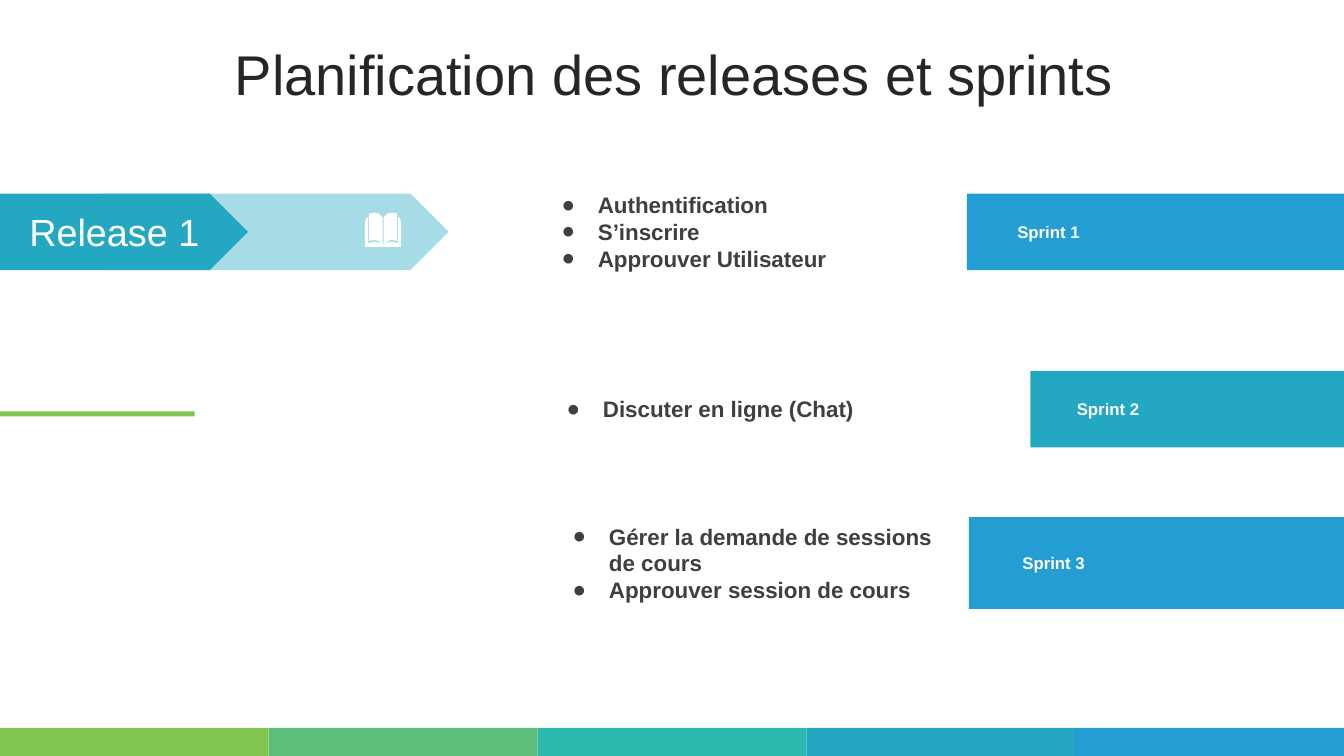
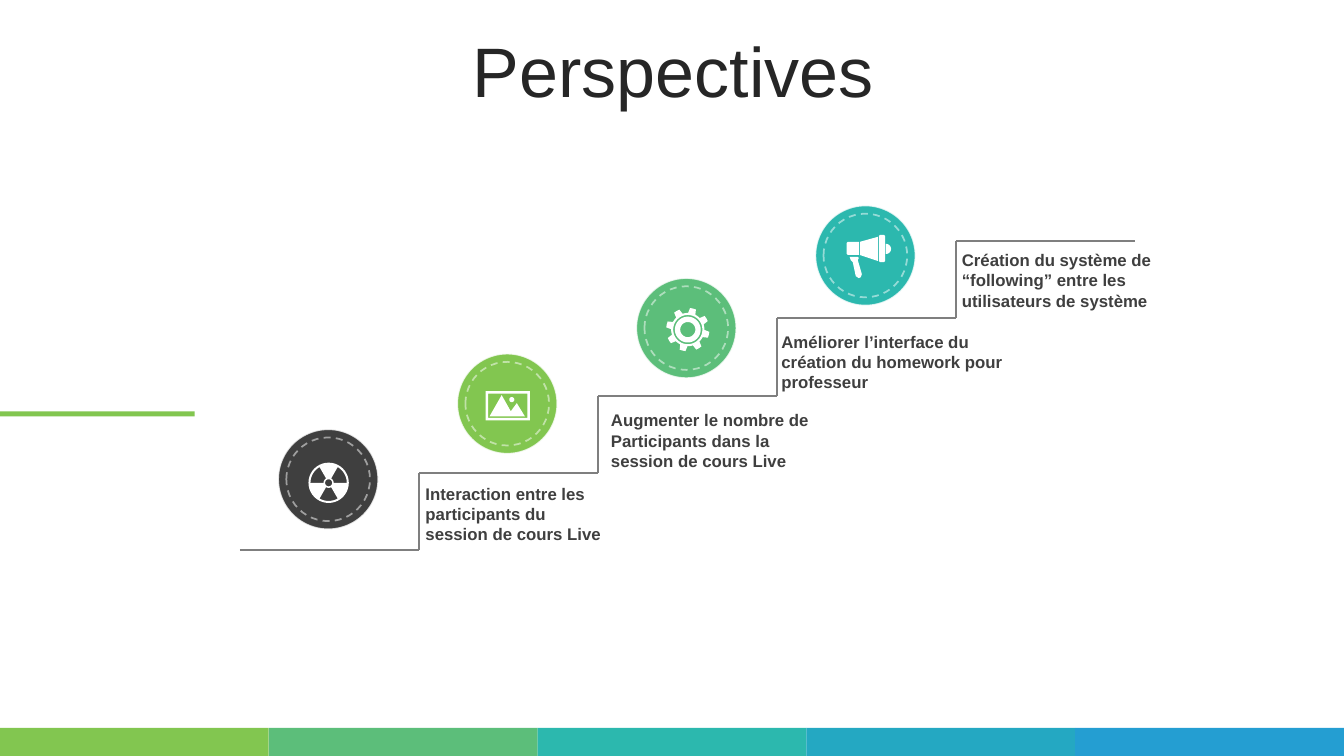
"""Build the release planning and perspectives slides."""
from math import cos, pi, sin

from lxml import etree
from pptx import Presentation
from pptx.dml.color import RGBColor
from pptx.enum.dml import MSO_LINE
from pptx.enum.shapes import MSO_CONNECTOR, MSO_SHAPE
from pptx.enum.text import MSO_ANCHOR, MSO_AUTO_SIZE, PP_ALIGN
from pptx.oxml.ns import qn
from pptx.util import Inches, Pt

RECT, OVAL, ARROW = MSO_SHAPE.RECTANGLE, MSO_SHAPE.OVAL, MSO_SHAPE.PENTAGON
STRAIGHT, DASH = MSO_CONNECTOR.STRAIGHT, MSO_LINE.DASH
MIDDLE, TOP = MSO_ANCHOR.MIDDLE, MSO_ANCHOR.TOP
LEFT, CENTER = PP_ALIGN.LEFT, PP_ALIGN.CENTER
NO_FIT = MSO_AUTO_SIZE.NONE

FONT = "Arial"
COLORS = {
    "lime": "82C650", "green": "5CBE7A", "teal": "2CB8AE", "cyan": "24A8C2",
    "blue": "249ED2", "white": "FFFFFF", "title": "262626", "text": "3F3F3F",
    "stairs": "7F7F7F",
}
BAND = ["lime", "green", "teal", "cyan", "blue"]
WIDTH, HEIGHT = 13.33, 7.5
COMPARISON_LAYOUT, TITLE_LAYOUT = 4, 5
FILL_PATH = "./a:solidFill/a:srgbClr"
LINE_PATH = "./a:ln/a:solidFill/a:srgbClr"

SPRINTS = [
    ((4.55, 1.84, 4.95, 0.91),
     ["Authentification", "S’inscrire", "Approuver Utilisateur"],
     "Sprint 1", (9.59, 1.92, 3.74, 0.76), "blue", 0.5),
    ((4.6, 3.87, 4.95, 0.37), ["Discuter en ligne (Chat)"],
     "Sprint 2", (10.22, 3.68, 3.11, 0.76), "cyan", 0.46),
    ((4.66, 5.13, 4.95, 0.91),
     ["Gérer la demande de sessions de cours", "Approuver session de cours"],
     "Sprint 3", (9.61, 5.13, 3.72, 0.91), "blue", 0.53),
]


def rgb(name):
    """Return the named colour."""
    return RGBColor.from_string(COLORS[name])


def place(shape, box):
    """Move a shape to a box given in inches."""
    shape.left, shape.top, shape.width, shape.height = map(Inches, box)


def fade(shape, path, percent):
    """Set the opacity of the colour found at a path in the shape."""
    color = shape.element.spPr.xpath(path)[0]
    etree.SubElement(color, qn("a:alpha")).set("val", str(percent * 1000))


def paint(shape, fill):
    """Give a shape a flat fill with no line or shadow."""
    shape.shadow.inherit = False
    shape.fill.solid()
    shape.fill.fore_color.rgb = rgb(fill)
    shape.line.fill.background()
    return shape


def add_block(slide, kind, box, fill):
    """Add a flat preset shape."""
    return paint(slide.shapes.add_shape(kind, *map(Inches, box)), fill)


def add_bullet(paragraph):
    """Give a paragraph a hanging round bullet."""
    props = paragraph._p.get_or_add_pPr()
    props.set("marL", str(Inches(1.28)))
    props.set("indent", str(Inches(-0.36)))
    bullet_color = etree.SubElement(props, qn("a:buClr"))
    etree.SubElement(bullet_color, qn("a:srgbClr")).set("val", COLORS["text"])
    etree.SubElement(props, qn("a:buFont")).set("typeface", FONT)
    etree.SubElement(props, qn("a:buChar")).set("char", "●")


def write(shape, lines, size, color, bold=False, align=LEFT, anchor=MIDDLE,
          side=0.1, spacing=1.0, bulleted=False):
    """Fill a shape with evenly styled paragraphs."""
    frame = shape.text_frame
    frame.word_wrap = True
    frame.auto_size = NO_FIT
    frame.vertical_anchor = anchor
    frame.margin_left = Inches(side)
    frame.margin_right = Inches(min(side, 0.1))
    frame.text = "\n".join(lines)
    for paragraph in frame.paragraphs:
        paragraph.alignment = align
        paragraph.line_spacing = spacing
        paragraph.space_before = Pt(0)
        if bulleted:
            add_bullet(paragraph)
        font = paragraph.font
        font.name, font.size, font.bold = FONT, Pt(size), bold
        font.color.rgb = rgb(color)


def add_title(slide, title, size, spacing):
    """Place and style the slide title."""
    heading = slide.shapes.title
    place(heading, (0.35, 0.37, 12.66, 0.79))
    write(heading, [title], size, "title", align=CENTER, spacing=spacing)


def decorate_master(prs, slide):
    """Put the colour band and the side rule on the master."""
    step = WIDTH / len(BAND)
    parts = [((i * step, 7.22, step, 0.28), color)
             for i, color in enumerate(BAND)]
    parts.append(((0, 4.08, 1.93, 0.05), "lime"))
    for number, (box, color) in enumerate(parts, start=20):
        block = add_block(slide, RECT, box, color)
        block.element.xpath("./p:nvSpPr/p:cNvPr")[0].set("id", str(number))
        prs.slide_master.shapes.element.append(block.element)


def add_icon(slide, left, top, contours):
    """Draw white contours, in hundredths of an inch from a corner."""
    outlines = [[(Inches(left + x / 100), Inches(top + y / 100))
                 for x, y in contour] for contour in contours]
    builder = slide.shapes.build_freeform(*outlines[0][0], scale=1.0)
    builder.add_line_segments(outlines[0][1:], close=True)
    for outline in outlines[1:]:
        builder.move_to(*outline[0])
        builder.add_line_segments(outline[1:], close=True)
    paint(builder.convert_to_shape(), "white")


def arc(cx, cy, radius, start=0, end=360, steps=40):
    """Return points along an arc, with angles in degrees."""
    angles = [(start + (end - start) * i / steps) * pi / 180
              for i in range(steps + 1)]
    return [(cx + radius * cos(a), cy + radius * sin(a)) for a in angles]


def book():
    """Return the open book contours."""
    page = [(0.5, 31), (7, 29), (15, 30), (15, 6), (14, 6), (14, 28), (7, 27),
            (0.5, 31), (0.5, 5), (4, 1), (9, 0), (14, 1), (14, 5), (17, 5),
            (17, 8), (18, 8), (18, 34), (0, 34), (0, 31)]
    return [[(18 + side * x, y) for x, y in page] for side in (-1, 1)]


def trefoil():
    """Return the radiation sign contours."""
    blades = [arc(20, 20, 18, start, start + 60, 12)
              + arc(20, 20, 5, start + 60, start, 6)
              for start in (60, 180, 300)]
    return [arc(20, 20, 20), arc(20, 20, 3.5), *blades]


def landscape():
    """Return the framed mountains contours."""
    frames = [[(d, d), (44 - d, d), (44 - d, 29 - d), (d, 29 - d)]
              for d in (0, 2.5)]
    mountains = [(4, 25), (16, 4), (25, 20), (31, 12), (39, 25)]
    return [*frames, mountains, arc(26, 8.5, 2.5)]


def gear():
    """Return the toothed wheel contours."""
    teeth = []
    for tooth in range(8):
        middle = tooth * 45 + 14
        teeth += arc(21, 21, 21.5, middle - 8, middle + 8, 2)
        teeth += arc(21, 21, 16.5, middle + 13, middle + 32, 4)
    return [teeth, *(arc(21, 21, radius) for radius in (14.5, 12.8, 7.5))]


def megaphone():
    """Return the megaphone contours."""
    handle = [(3, 22), (11, 22), (12, 23), (11, 25), (15, 39), (14, 42),
              (12, 43), (9, 41), (6, 27), (4, 25)]
    grip = [(1, 7), (12, 7), (12, 20), (1, 20), (0, 19), (0, 8)]
    horn = [(31, 2), (31, 26), (13, 20), (13, 7)]
    rim = [(33, 0), (37, 0), (38, 1), (38, 26), (37, 27), (33, 27), (32, 26),
           (32, 1)]
    return [handle, grip, horn, rim, arc(39, 14, 5, -90, 90, 12)]


STEPS = [
    (4.26, "text", trefoil, (0.3, 0.33), (4.22, 4.75, 1.83, 0.71),
     ["Interaction entre les participants du session de cours Live"]),
    (3.51, "lime", landscape, (0.28, 0.37), (6.06, 4.02, 1.97, 0.71),
     ["Augmenter le nombre de", "Participants dans la session de cours Live"]),
    (2.76, "green", gear, (0.3, 0.3), (7.75, 3.24, 2.32, 0.71),
     ["Améliorer l’interface du création du homework pour professeur"]),
    (2.04, "teal", megaphone, (0.31, 0.29), (9.54, 2.43, 1.97, 0.71),
     ["Création du système de “following” entre les utilisateurs de système"]),
]


def add_release(slide, box, label):
    """Draw the release arrow with its pale tail and book."""
    left, top, width, height = box
    tail = add_block(slide, ARROW, (left + 1, top, width - 1, height), "cyan")
    fade(tail, FILL_PATH, 40)
    head = add_block(slide, ARROW, (left, top, 2.46, height), "cyan")
    write(head, [label], 27, "white", align=CENTER)
    add_icon(slide, left + 3.62, top + 0.19, book())


def add_stairs(slide, box, count):
    """Draw a rising staircase of treads and risers."""
    left, top, width, height = box
    run, rise = width / count, height / (count - 1)
    bottom = top + height
    segments = []
    for i in range(count):
        x, y = left + i * run, bottom - i * rise
        segments.append((x, y, x + run, y))
        if i:
            segments.append((x, y, x, y + rise))
    for ends in segments:
        stair = slide.shapes.add_connector(STRAIGHT, *map(Inches, ends))
        stair.line.color.rgb = rgb("stairs")
        stair.line.width = Pt(1.5)
        etree.SubElement(stair.element.spPr, qn("a:effectLst"))


def add_badge(slide, left, top, color, icon, offset):
    """Draw a stitched disc with its icon."""
    disc = add_block(slide, OVAL, (left, top, 0.99, 0.99), color)
    stitch = add_block(slide, OVAL, (left + 0.08, top + 0.08, 0.83, 0.83),
                       color)
    stitch.fill.background()
    for ring, width, opacity in ((disc, 1, 80), (stitch, 1.25, 50)):
        ring.line.color.rgb = rgb("white")
        ring.line.width = Pt(width)
        fade(ring, LINE_PATH, opacity)
    stitch.line.dash_style = DASH
    add_icon(slide, left + offset[0], top + offset[1], icon())


def build_planning(slide):
    """Fill the release and sprint planning slide."""
    add_title(slide, "Planification des releases et sprints", 40, 0.9)
    add_release(slide, (0, 1.92, 4.45, 0.76), "Release 1")
    lists = list(slide.placeholders)[1:]
    for tasks, (box, items, name, bar_box, color, side) in zip(lists, SPRINTS):
        place(tasks, box)
        write(tasks, items, 16, "text", bold=True, bulleted=True)
        bar = add_block(slide, RECT, bar_box, color)
        write(bar, [name], 12, "white", bold=True, side=side)
    for unused in lists[len(SPRINTS):]:
        unused.element.getparent().remove(unused.element)


def build_perspectives(slide):
    """Fill the perspectives staircase slide."""
    add_title(slide, "Perspectives", 50, 0.8)
    left, top, width, height = stairs = (2.38, 2.39, 8.88, 3.07)
    count = len(STEPS) + 1
    add_stairs(slide, stairs, count)
    for i, (disc_top, color, icon, offset, box, lines) in enumerate(STEPS):
        disc_left = left + 0.38 + i * width / count
        add_badge(slide, disc_left, disc_top, color, icon, offset)
        caption = slide.shapes.add_textbox(*map(Inches, box))
        write(caption, lines, 12, "text", bold=True, anchor=TOP, side=0)


def main():
    """Build and save the presentation."""
    prs = Presentation()
    prs.slide_width, prs.slide_height = Inches(WIDTH), Inches(HEIGHT)
    planning = prs.slides.add_slide(prs.slide_layouts[COMPARISON_LAYOUT])
    decorate_master(prs, planning)
    build_planning(planning)
    build_perspectives(prs.slides.add_slide(prs.slide_layouts[TITLE_LAYOUT]))
    prs.save("out.pptx")


if __name__ == "__main__":
    main()
